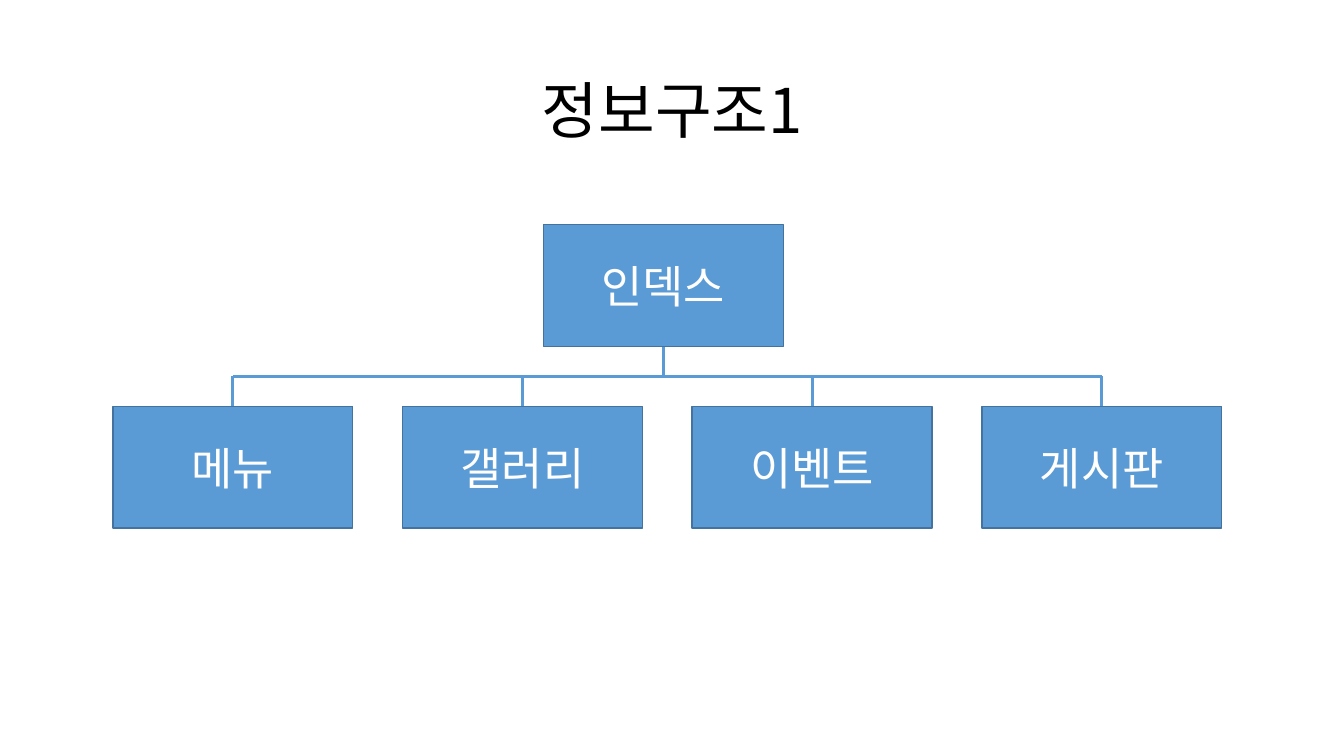
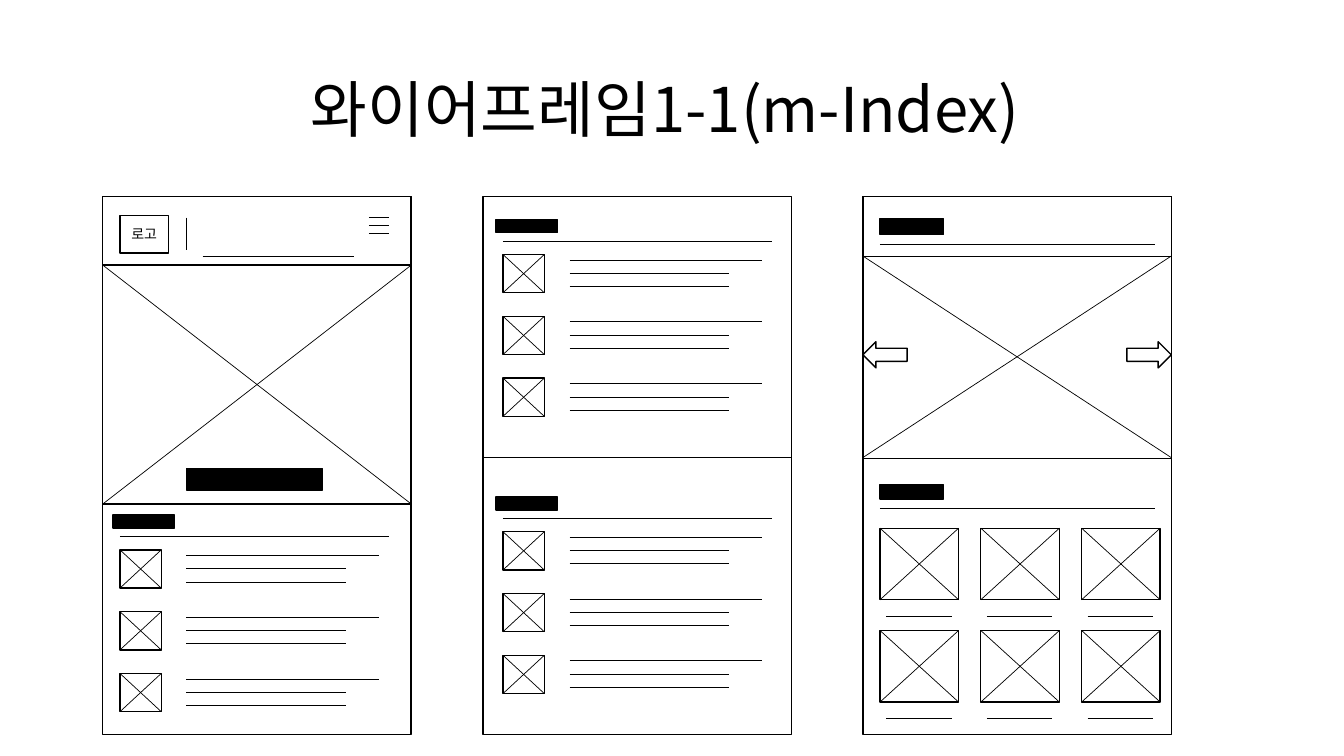
import dataclasses
import itertools

import lxml.etree
import pptx
import pptx.dml.color
import pptx.enum.shapes
import pptx.enum.text
import pptx.oxml.ns
import pptx.util

SHAPE = pptx.enum.shapes.MSO_SHAPE
STRAIGHT = pptx.enum.shapes.MSO_CONNECTOR.STRAIGHT
CELL = pptx.util.Inches(0.1)  # grid cell: all lengths below are in cells


@dataclasses.dataclass(frozen=True)
class Theme:
    font: str = "Noto Sans CJK KR"
    ink: str = "000000"
    paper: str = "FFFFFF"
    node: str = "5B9BD5"
    node_edge: str = "43739E"
    title_size: int = 44
    node_size: int = 32
    label_size: int = 10
    edge: float = 1
    hairline: float = 0.5
    branch: float = 2


THEME = Theme()


@dataclasses.dataclass(frozen=True)
class Box:
    left: float
    top: float
    width: float
    height: float

    def inner(self, dx, dy, width, height):
        return Box(self.left + dx, self.top + dy, width, height)

    @property
    def right(self):
        return self.left + self.width

    @property
    def bottom(self):
        return self.top + self.height

    @property
    def emu(self):
        return [cells(n) for n in (self.left, self.top, self.width, self.height)]


def cells(count):
    return round(count * CELL)


def rgb(code):
    return pptx.dml.color.RGBColor.from_string(code)


def apply(target, formats):
    for name, value in formats.items():
        setattr(target, name, value)


# Shared drawing parts

def write(shape, text, size, color, spacing=1.0):
    frame = shape.text_frame
    apply(frame, {"word_wrap": True,
                  "vertical_anchor": pptx.enum.text.MSO_ANCHOR.MIDDLE})
    paragraph = frame.paragraphs[0]
    apply(paragraph, {"alignment": pptx.enum.text.PP_ALIGN.CENTER,
                      "line_spacing": spacing})
    run = paragraph.add_run()
    run.text = text
    apply(run.font, {"name": THEME.font, "size": pptx.util.Pt(size)})
    run.font.color.rgb = rgb(color)
    # Korean glyphs take the East Asian typeface
    east_asian = lxml.etree.SubElement(run.font._element, pptx.oxml.ns.qn("a:ea"))
    east_asian.set("typeface", THEME.font)


def block(slide, box, fill=THEME.paper, edge=THEME.ink, kind=SHAPE.RECTANGLE):
    shape = slide.shapes.add_shape(kind, *box.emu)
    shape.shadow.inherit = False
    shape.fill.solid()
    shape.fill.fore_color.rgb = rgb(fill)
    shape.line.color.rgb = rgb(edge)
    shape.line.width = pptx.util.Pt(THEME.edge)
    return shape


def bar(slide, box):
    return block(slide, box, fill=THEME.ink)


def line(slide, x1, y1, x2, y2, color=THEME.ink, width=THEME.hairline):
    stroke = slide.shapes.add_connector(STRAIGHT, *map(cells, (x1, y1, x2, y2)))
    stroke.line.color.rgb = rgb(color)
    stroke.line.width = pptx.util.Pt(width)
    lxml.etree.SubElement(stroke._element.spPr, pptx.oxml.ns.qn("a:effectLst"))
    return stroke


def rule(slide, x, y, length):
    return line(slide, x, y, x + length, y)


def cross(slide, box):
    line(slide, box.left, box.bottom, box.right, box.top)
    line(slide, box.left, box.top, box.right, box.bottom)


def image_slot(slide, box):
    block(slide, box)
    cross(slide, box)


def titled_slide(deck, text, box):
    slide = deck.slides.add_slide(deck.slide_layouts[6])
    write(slide.shapes.add_textbox(*box.emu), text,
          THEME.title_size, THEME.ink, spacing=0.9)
    return slide


# Site map: one root above a row of pages

def site_map(slide, box, root_text, page_texts):
    node_width, node_height = 23.8, 12.1
    pitch = (box.width - node_width) / (len(page_texts) - 1)
    page_top = box.height - node_height
    bus_y = box.top + (node_height + page_top) / 2
    branch = {"color": THEME.node, "width": THEME.branch}

    def node(dx, dy, text):
        place = box.inner(dx, dy, node_width, node_height)
        shape = block(slide, place, THEME.node, THEME.node_edge)
        write(shape, text, THEME.node_size, THEME.paper)
        return shape, place.left + node_width / 2

    root, root_x = node(42.7, 0, root_text)
    trunk = line(slide, root_x, box.top + node_height, root_x, bus_y, **branch)
    trunk.begin_connect(root, 2)

    centers = []
    for column, text in enumerate(page_texts):
        page, x = node(column * pitch, page_top, text)
        drop = line(slide, x, bus_y, x, box.top + page_top, **branch)
        drop.end_connect(page, 0)
        centers.append(x)
    line(slide, centers[0], bus_y, centers[-1], bus_y, **branch)


# Wireframe regions

def article_list(slide, box):
    bar(slide, box.inner(0, 0, 6.1, 1.3))
    rule(slide, box.left + 0.7, box.top + 2.15, box.width - 0.7)
    for row in range(3):
        thumb = box.inner(0.7, 3.45 + row * 6.13, 4.1, 3.8)
        image_slot(slide, thumb)
        for number, length in enumerate((19.1, 15.8, 15.8)):
            rule(slide, thumb.left + 6.6, thumb.top + 0.55 + number * 1.32, length)


def section_heading(slide, box):
    bar(slide, box.inner(0, 0, 6.3, box.height))
    rule(slide, box.left, box.bottom + 0.9, box.width)


def header(slide, box):
    block(slide, box)
    logo = block(slide, box.inner(1.7, 1.9, 4.8, 3.7))
    write(logo, "로고", THEME.label_size, THEME.ink)
    line(slide, box.left + 8.3, box.top + 2.1, box.left + 8.3, box.top + 5.3)
    for stripe in range(3):  # menu icon
        rule(slide, box.left + 26.4, box.top + 2.1 + stripe * 0.8, 2)
    rule(slide, box.left + 9.9, box.top + 5.9, 15)


def carousel(slide, box):
    rule(slide, box.left, box.top, box.width)
    cross(slide, box)
    width, height = 4.4, 2.6
    middle = (box.height - height) / 2 - 0.2
    for dx, kind in ((box.width - width, SHAPE.RIGHT_ARROW), (0, SHAPE.LEFT_ARROW)):
        block(slide, box.inner(dx, middle, width, height), kind=kind)


def gallery(slide, box):
    width, height = 7.8, 7.1
    for row, column in itertools.product(range(2), range(3)):
        tile = box.inner(column * (box.width - width) / 2,
                         row * (box.height - height), width, height)
        image_slot(slide, tile)
        rule(slide, tile.left + 0.6, tile.bottom + 1.6, 6.5)


# Wireframe screens

def home_screen(slide, box):
    block(slide, box)
    header(slide, box.inner(0, 0, box.width, 6.8))
    hero = box.inner(0, 6.8, box.width, 23.7)
    image_slot(slide, hero)
    bar(slide, hero.inner(8.3, 20.2, 13.5, 2.1))
    article_list(slide, box.inner(1, 31.6, 27.4, 19.5))


def list_screen(slide, box):
    block(slide, box)
    for top in (2.3, 29.8):
        article_list(slide, box.inner(1.3, top, 27.4, 19.5))
    rule(slide, box.left, box.top + 25.9, box.width)


def gallery_screen(slide, box):
    block(slide, box)
    block(slide, box.inner(0, 0, box.width, 26))
    section_heading(slide, box.inner(1.7, 2.2, 27.3, 1.6))
    carousel(slide, box.inner(0, 5.9, box.width, 20))
    section_heading(slide, box.inner(1.7, 28.6, 27.3, 1.4))
    gallery(slide, box.inner(1.7, 32.9, 27.8, 17.25))


# Deck

deck = pptx.Presentation()
apply(deck, {"slide_width": cells(133.33), "slide_height": cells(75)})

structure = titled_slide(deck, "정보구조1", Box(9.2, 4, 115, 14.5))
site_map(structure, Box(11.2, 22.3, 110, 30.1), "인덱스",
         ("메뉴", "갤러리", "이벤트", "게시판"))

wireframe = titled_slide(deck, "와이어프레임1-1(m-Index)", Box(8.5, 3.9, 115, 14.5))
for column, screen in enumerate((home_screen, list_screen, gallery_screen)):
    screen(wireframe, Box(10.2 + column * 37.7, 19.5, 30.6, 53.4))

deck.save("out.pptx")
